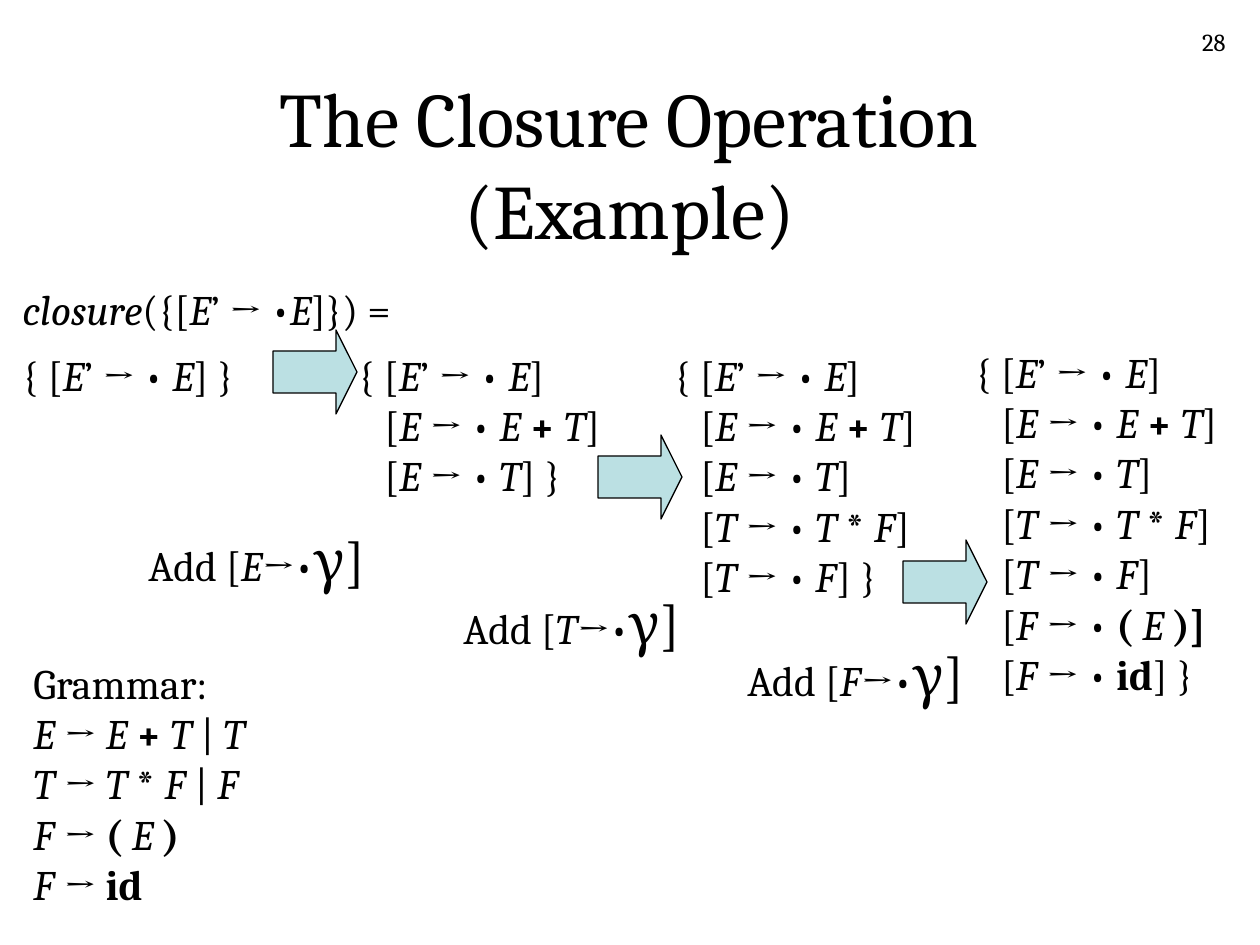
from pptx import Presentation
from pptx.dml.color import RGBColor
from pptx.enum.shapes import MSO_SHAPE
from pptx.enum.text import MSO_ANCHOR, MSO_AUTO_SIZE, PP_ALIGN
from pptx.util import Pt

RIGHT_ARROW = MSO_SHAPE.RIGHT_ARROW
MIDDLE = MSO_ANCHOR.MIDDLE
FIT_SHAPE, NO_FIT = MSO_AUTO_SIZE.SHAPE_TO_FIT_TEXT, MSO_AUTO_SIZE.NONE
LEFT, CENTER, RIGHT = PP_ALIGN.LEFT, PP_ALIGN.CENTER, PP_ALIGN.RIGHT

EMU_PER_PX = 914400 / 126
FONT = "Cambria"
BLACK, PALE_TEAL = "000000", "BBE0E3"
BODY_SIZE, GAMMA_SIZE, TITLE_SIZE, NUMBER_SIZE = 24, 32, 44, 14
ITEM_INDENT = 26
LINE_HEIGHT, BOX_MARGINS = 50, 13

# Content: _ switches italic, ~ switches bold, ^ switches the large size
TITLE = "The Closure Operation (Example)"
PAGE_NUMBER = "28"
ITEMS = [
    "{ [_E_’ → • _E_]",
    "[_E_ → • _E_ ~+~ _T_]",
    "[_E_ → • _T_]",
    "[_T_ → • _T_ ~*~ _F_]",
    "[_T_ → • _F_]",
    "[_F_ → • ~(~ _E_ ~)]~",
    "[_F_ → • ~id~]",
]
GRAMMAR = [
    "Grammar:",
    "_E_ → _E_ ~+~ _T_ | _T_",
    "_T_ → _T_ ~*~ _F_ | _F_",
    "_F_ → ~(~ _E_ ~)~",
    "_F_ → ~id~",
]
CALL = "_closure_({[_E_’ → •_E_]}) ="

# Places: left, top, width, then the number of items in each closure step
STEPS = [(10, 343, 267, 1), (346, 343, 292, 3), (662, 343, 292, 5), (963, 340, 292, 7)]
ARROWS = [(273, 330), (598, 435), (903, 540)]
ARROW_SIZE = 84
ADDITIONS = [("E", 136, 519), ("T", 451, 582), ("F", 735, 634)]


def px(length):
    return int(length * EMU_PER_PX)


def color(value):
    return RGBColor.from_string(value)


def add_run(paragraph, text, size, **styles):
    run = paragraph.add_run()
    run.text = text
    run.font.color.rgb = color(BLACK)
    for name, value in {"name": FONT, "size": Pt(size), **styles}.items():
        setattr(run.font, name, value)


def write_marked(paragraph, marked):
    """Split the marked text into runs of one style each."""
    active, text = set(), ""

    def flush():
        if text:
            size = GAMMA_SIZE if "^" in active else BODY_SIZE
            add_run(paragraph, text, size, italic="_" in active, bold="~" in active)

    for character in marked:
        if character in "_~^":
            flush()
            active ^= {character}
            text = ""
        else:
            text += character
    flush()


def add_lines(slide, left, top, width, lines, height=None, indent=0):
    height = height or len(lines) * LINE_HEIGHT + BOX_MARGINS
    shape = slide.shapes.add_textbox(px(left), px(top), px(width), px(height))
    frame = shape.text_frame
    frame.word_wrap = False
    frame.auto_size = FIT_SHAPE
    for index, line in enumerate(lines):
        paragraph = frame.paragraphs[0] if index == 0 else frame.add_paragraph()
        paragraph.alignment = LEFT
        if index and indent:
            properties = paragraph._p.get_or_add_pPr()
            properties.set("marL", str(px(indent)))
            properties.set("indent", "0")
        write_marked(paragraph, line)


def add_arrow(slide, left, top):
    shape = slide.shapes.add_shape(
        RIGHT_ARROW, px(left), px(top), px(ARROW_SIZE), px(ARROW_SIZE))
    shape.adjustments[0], shape.adjustments[1] = 0.5, 0.25
    shape.shadow.inherit = False
    shape.fill.solid()
    shape.fill.fore_color.rgb = color(PALE_TEAL)
    shape.line.color.rgb = color(BLACK)
    shape.line.width = Pt(0.75)


def main():
    presentation = Presentation()
    presentation.slide_width, presentation.slide_height = px(1260), px(945)
    slide = presentation.slides.add_slide(presentation.slide_layouts[5])

    # Title
    title = slide.shapes.title
    title.left, title.top, title.width, title.height = map(px, (94, 84, 1071, 158))
    frame = title.text_frame
    formats = {"word_wrap": True, "auto_size": NO_FIT, "vertical_anchor": MIDDLE}
    for name, value in formats.items():
        setattr(frame, name, value)
    frame.paragraphs[0].alignment = CENTER
    add_run(frame.paragraphs[0], TITLE, TITLE_SIZE)

    # Page number
    number = slide.shapes.add_textbox(px(976), px(21), px(262), px(63))
    number.text_frame.word_wrap = True
    paragraph = number.text_frame.paragraphs[0]
    paragraph.alignment = RIGHT
    add_run(paragraph, PAGE_NUMBER, NUMBER_SIZE)

    # Grammar and the closure call
    add_lines(slide, 21, 651, 260, GRAMMAR)
    add_lines(slide, 10, 277, 432, [CALL])

    # Growing item sets, each closed by a brace
    for left, top, width, count in STEPS:
        lines = ITEMS[:count]
        lines[-1] += " }"
        add_lines(slide, left, top, width, lines, indent=ITEM_INDENT)

    # Arrows between the sets
    for left, top in ARROWS:
        add_arrow(slide, left, top)

    # What each step adds
    for symbol, left, top in ADDITIONS:
        add_lines(slide, left, top, 245, [f"Add [_{symbol}_→•^γ]^"], height=80)

    presentation.save("out.pptx")


if __name__ == "__main__":
    main()
